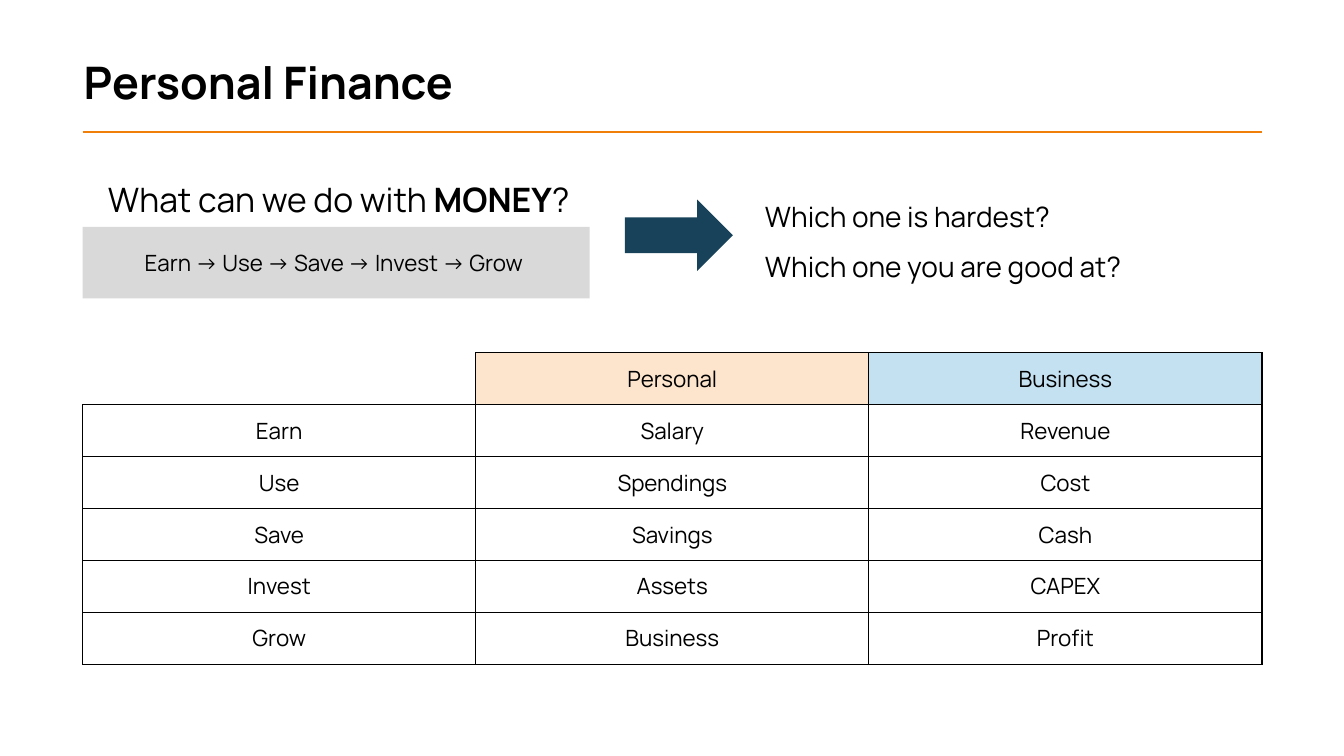
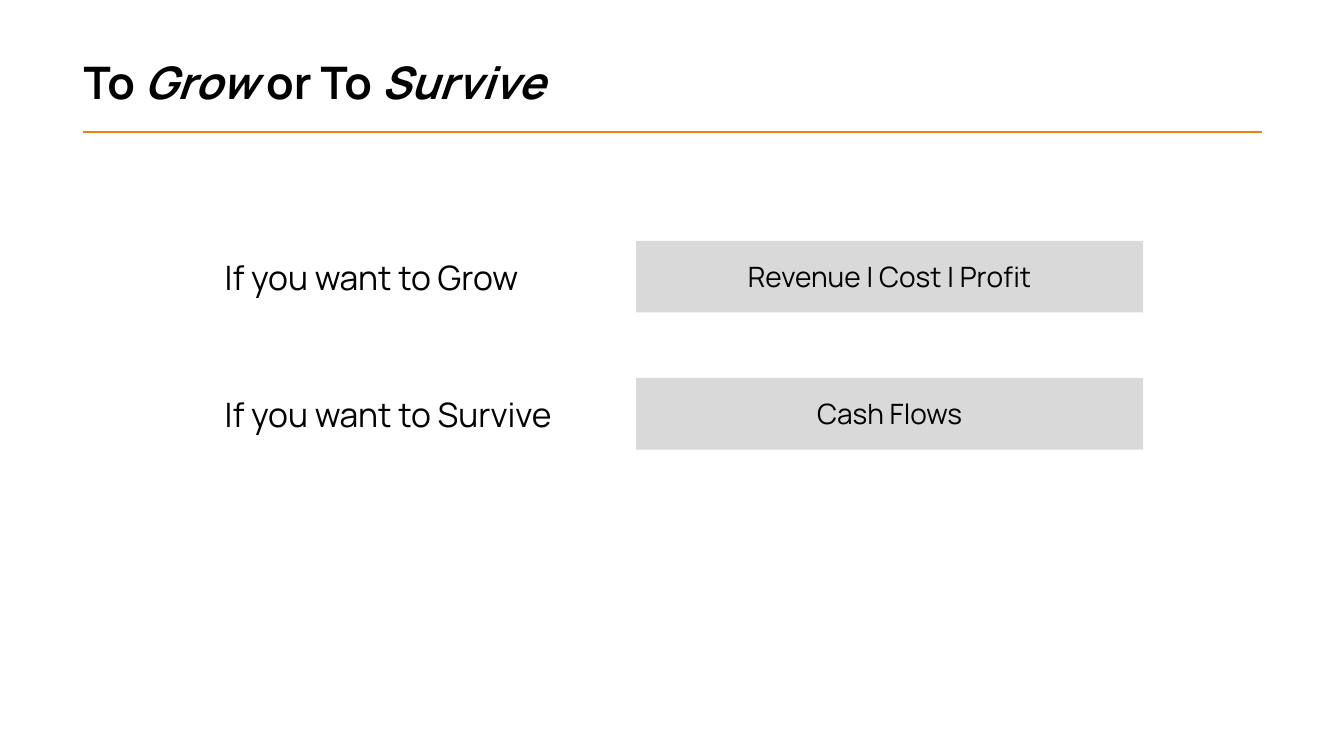
from dataclasses import dataclass

from lxml import etree
from pptx import Presentation
from pptx.dml.color import RGBColor
from pptx.enum.shapes import MSO_CONNECTOR, MSO_SHAPE
from pptx.enum.text import MSO_ANCHOR, MSO_AUTO_SIZE, PP_ALIGN
from pptx.oxml.ns import qn
from pptx.shapes.autoshape import Shape
from pptx.slide import Slide
from pptx.table import _Cell
from pptx.text.text import TextFrame
from pptx.util import Inches, Pt

LEFT, CENTER = PP_ALIGN.LEFT, PP_ALIGN.CENTER
MIDDLE = MSO_ANCHOR.MIDDLE
NO_AUTOSIZE = MSO_AUTO_SIZE.NONE
RECTANGLE, RIGHT_ARROW = MSO_SHAPE.RECTANGLE, MSO_SHAPE.RIGHT_ARROW
STRAIGHT = MSO_CONNECTOR.STRAIGHT

SLIDE_WIDTH, SLIDE_HEIGHT = Inches(13.333), Inches(7.5)
TITLE_ONLY = 5


@dataclass(frozen=True)
class Theme:
    font: str = "Manrope"
    ink: str = "000000"
    rule: str = "F07F09"
    bar: str = "D9D9D9"
    arrow: str = "184259"
    personal: str = "FDE5CD"
    business: str = "C4E1F2"
    title_size: int = 32
    lead_size: int = 24
    body_size: int = 20
    small_size: int = 16
    rule_width: float = 1.5
    border_width: float = 1


@dataclass(frozen=True)
class Area:
    """A rectangle in percent of the slide's width and height."""
    left: float
    top: float
    width: float
    height: float

    def lengths(self) -> tuple[int, int, int, int]:
        return (
            int(SLIDE_WIDTH * self.left / 100),
            int(SLIDE_HEIGHT * self.top / 100),
            int(SLIDE_WIDTH * self.width / 100),
            int(SLIDE_HEIGHT * self.height / 100),
        )


@dataclass(frozen=True)
class Span:
    text: str
    bold: bool = False
    italic: bool = False


@dataclass(frozen=True)
class Goal:
    label: str
    measures: str


THEME = Theme()
MARGIN, CONTENT_WIDTH = 6.15, 87.75
BAR_WIDTH, BAR_HEIGHT = 37.73, 9.47
TITLE_AREA = Area(5.48, 6.53, 87.75, 8.53)
RULE_AREA = Area(MARGIN, 17.47, CONTENT_WIDTH, 0)
TABLE_AREA = Area(MARGIN, 46.67, CONTENT_WIDTH, 41.2)

COMPARISON = [
    ("", "Personal", "Business"),
    ("Earn", "Salary", "Revenue"),
    ("Use", "Spendings", "Cost"),
    ("Save", "Savings", "Cash"),
    ("Invest", "Assets", "CAPEX"),
    ("Grow", "Business", "Profit"),
]
HEADER_FILLS = (None, THEME.personal, THEME.business)

GOALS = [
    Goal("If you want to Grow", "Revenue | Cost | Profit"),
    Goal("If you want to Survive", "Cash Flows"),
]
GOAL_TOP, GOAL_STEP = 31.87, 18.13


def color(code: str) -> RGBColor:
    return RGBColor.from_string(code)


def write(frame: TextFrame, lines: list[list[Span]], size: float,
          align: PP_ALIGN = LEFT, spacing: float = 1.0) -> None:
    """Fill a frame with one paragraph for each list of spans."""
    frame.word_wrap = True
    frame.auto_size = NO_AUTOSIZE
    frame.vertical_anchor = MIDDLE
    for index, spans in enumerate(lines):
        para = frame.add_paragraph() if index else frame.paragraphs[0]
        para.alignment = align
        para.line_spacing = spacing
        for span in spans:
            run = para.add_run()
            run.text = span.text
            run.font.name = THEME.font
            run.font.size = Pt(size)
            run.font.color.rgb = color(THEME.ink)
            run.font.bold = span.bold
            run.font.italic = span.italic


def add_text(page: Slide, area: Area, lines: list[list[Span]], size: float,
             align: PP_ALIGN = LEFT, spacing: float = 1.0) -> None:
    box = page.shapes.add_textbox(*area.lengths())
    write(box.text_frame, lines, size, align, spacing)


def add_block(page: Slide, preset: MSO_SHAPE, area: Area, fill: str) -> Shape:
    block = page.shapes.add_shape(preset, *area.lengths())
    block.shadow.inherit = False
    block.fill.solid()
    block.fill.fore_color.rgb = color(fill)
    block.line.fill.background()
    return block


def add_bar(page: Slide, left: float, top: float, text: str, size: float) -> None:
    bar = add_block(page, RECTANGLE, Area(left, top, BAR_WIDTH, BAR_HEIGHT), THEME.bar)
    write(bar.text_frame, [[Span(text)]], size, CENTER)


def add_page(deck: Presentation, title: list[Span]) -> Slide:
    """Add a slide with the shared title style and the rule below it."""
    page = deck.slides.add_slide(deck.slide_layouts[TITLE_ONLY])
    heading = page.shapes.title
    heading.left, heading.top, heading.width, heading.height = TITLE_AREA.lengths()
    write(heading.text_frame, [title], THEME.title_size)

    left, top, width, _ = RULE_AREA.lengths()
    rule = page.shapes.add_connector(STRAIGHT, left, top, left + width, top)
    rule.line.color.rgb = color(THEME.rule)
    rule.line.width = Pt(THEME.rule_width)
    etree.SubElement(rule._element.spPr, qn("a:effectLst"))
    return page


def set_borders(cell: _Cell, visible: str) -> None:
    """Draw the sides named in visible (of L, R, T, B) and clear the others."""
    properties = cell._tc.get_or_add_tcPr()
    for side in "LRTB":
        line = etree.SubElement(properties, qn(f"a:ln{side}"))
        line.set("w", str(Pt(THEME.border_width)))
        if side in visible:
            fill = etree.SubElement(line, qn("a:solidFill"))
            etree.SubElement(fill, qn("a:srgbClr")).set("val", THEME.ink)
        else:
            etree.SubElement(line, qn("a:noFill"))


def add_comparison(page: Slide) -> None:
    row_count, column_count = len(COMPARISON), len(COMPARISON[0])
    frame = page.shapes.add_table(row_count, column_count, *TABLE_AREA.lengths())
    table = frame.table
    table.first_row = False
    table.horz_banding = False
    for row, texts in enumerate(COMPARISON):
        for column, text in enumerate(texts):
            cell = table.cell(row, column)
            set_borders(cell, "LRTB" if text else "RB")
            fill = HEADER_FILLS[column] if row == 0 else None
            if fill:
                cell.fill.solid()
                cell.fill.fore_color.rgb = color(fill)
            else:
                cell.fill.background()
            cell.vertical_anchor = MIDDLE
            para = cell.text_frame.paragraphs[0]
            para.text = text
            para.alignment = CENTER
            para.font.name = THEME.font
            para.font.size = Pt(THEME.small_size)
            para.font.color.rgb = color(THEME.ink)


def build_personal_finance(deck: Presentation) -> None:
    page = add_page(deck, [Span("Personal Finance", bold=True)])
    question = [Span("What can we do with "), Span("MONEY", bold=True), Span("?")]
    add_text(page, Area(5.48, 22.93, 39.45, 6.67), [question], THEME.lead_size, CENTER)
    add_bar(page, MARGIN, 30, "Earn → Use → Save → Invest → Grow ", THEME.small_size)
    add_block(page, RIGHT_ARROW, Area(46.5, 26.4, 8.03, BAR_HEIGHT), THEME.arrow)
    prompts = [[Span("Which one is hardest?")], [Span("Which one you are good at?")]]
    add_text(page, Area(56.18, 23.73, 31.65, 14.13), prompts, THEME.body_size, spacing=1.5)
    add_comparison(page)


def build_grow_or_survive(deck: Presentation) -> None:
    page = add_page(deck, [
        Span("To ", bold=True),
        Span("Grow", bold=True, italic=True),
        Span(" or To ", bold=True),
        Span("Survive", bold=True, italic=True),
    ])
    for index, goal in enumerate(GOALS):
        top = GOAL_TOP + index * GOAL_STEP
        add_text(page, Area(15.98, top, 28.28, BAR_HEIGHT), [[Span(goal.label)]],
                 THEME.lead_size)
        add_bar(page, 47.33, top, goal.measures, THEME.body_size)


def main() -> None:
    deck = Presentation()
    deck.slide_width, deck.slide_height = SLIDE_WIDTH, SLIDE_HEIGHT
    build_personal_finance(deck)
    build_grow_or_survive(deck)
    deck.save("out.pptx")


if __name__ == "__main__":
    main()
